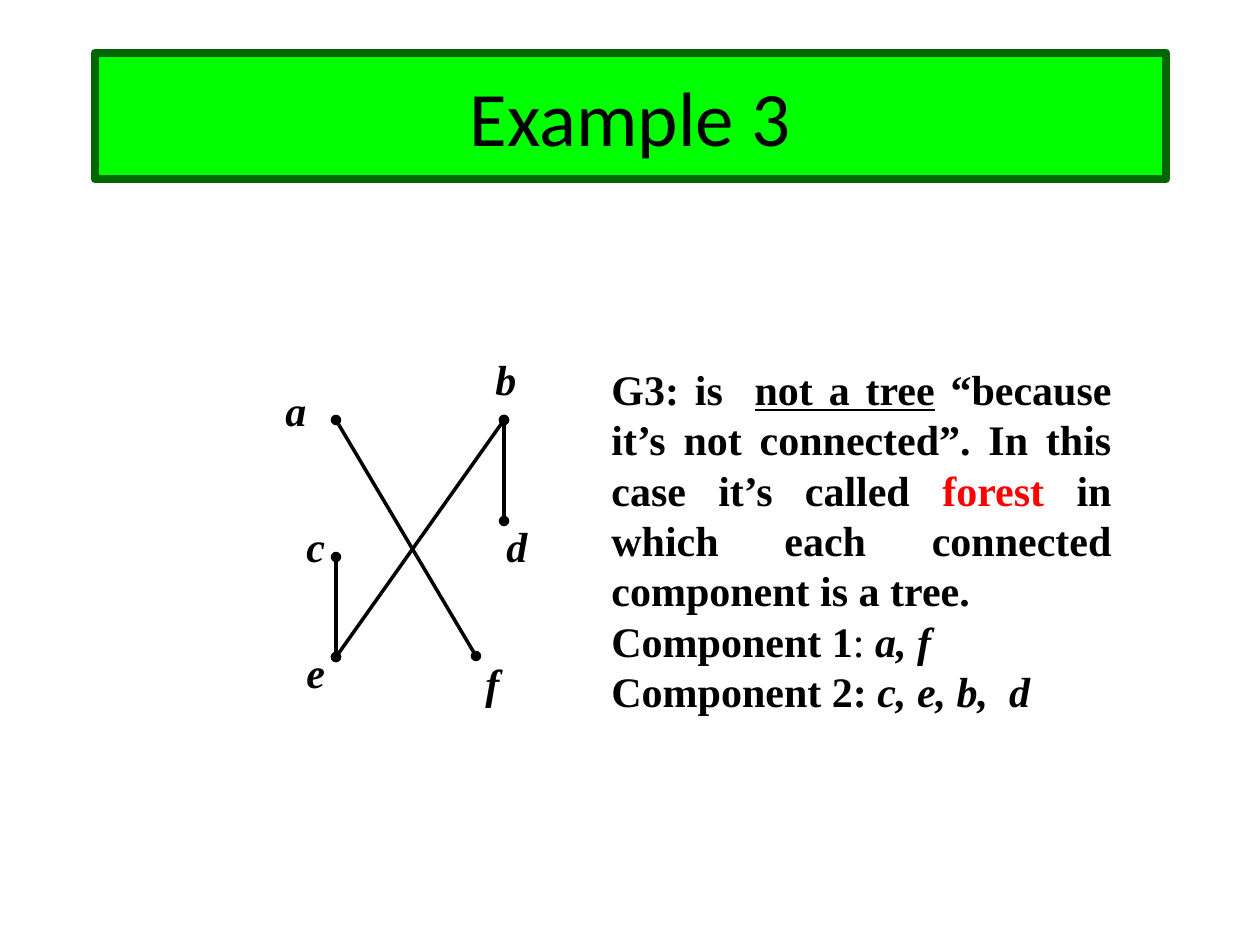
from pptx import Presentation
from pptx.dml.color import RGBColor
from pptx.enum.shapes import MSO_CONNECTOR, MSO_SHAPE
from pptx.enum.text import MSO_ANCHOR, PP_ALIGN
from pptx.oxml.ns import qn
from pptx.util import Pt
from lxml.etree import SubElement

PX = 914400 / 126
BLACK = RGBColor(0, 0, 0)
RED = RGBColor(255, 0, 0)
LIME = RGBColor(0, 255, 0)
GREEN = RGBColor(0, 0x66, 0)
SERIF = "Times New Roman"

TITLE = "Example 3"
NODES = {"a": (336, 420), "b": (504, 420), "c": (336, 557),
         "d": (504, 521), "e": (336, 657), "f": (476, 656)}
LABELS = {"a": (273, 378), "b": (483, 347), "c": (294, 514),
          "d": (494, 514), "e": (294, 640), "f": (473, 651)}
EDGES = ["af", "eb", "bd", "ce"]
# Each run: text and its style marks (b bold, i italic, u underlined, r red)
NOTES = [
    [("G3: is  ", "b"), ("not a tree", "bu"),
     (" “because it’s not connected”. In this case it’s called ", "b"),
     ("forest ", "br"),
     ("in which each connected component is a tree.", "b")],
    [("Component 1", "b"), (": ", ""), ("a, f", "bi")],
    [("Component 2: ", "b"), ("c, e, b,  d", "bi")],
]


def emu(*vals):
    return [round(v * PX) for v in vals]


def add_text(left, top, width, height, paras, align):
    frame = slide.shapes.add_textbox(*emu(left, top, width, height)).text_frame
    frame.word_wrap = True
    for n, runs in enumerate(paras):
        para = frame.add_paragraph() if n else frame.paragraphs[0]
        para.alignment = align
        para.line_spacing = Pt(28.8)
        for text, marks in runs:
            run = para.add_run()
            run.text = text
            font = run.font
            font.name, font.size = SERIF, Pt(24)
            font.bold, font.italic = "b" in marks, "i" in marks
            font.underline = "u" in marks
            font.color.rgb = RED if "r" in marks else BLACK


def add_edge(start, end):
    """Draw an edge whose oval line ends are the nodes."""
    edge = slide.shapes.add_connector(
        MSO_CONNECTOR.STRAIGHT, *emu(*NODES[start], *NODES[end]))
    edge.line.color.rgb = BLACK
    edge.line.width = Pt(2)
    line = edge.line._get_or_add_ln()
    for tag in ("a:headEnd", "a:tailEnd"):
        SubElement(line, qn(tag), type="oval")
    SubElement(edge._element.spPr, qn("a:effectLst"))


deck = Presentation()
deck.slide_width, deck.slide_height = emu(1260, 945)
slide = deck.slides.add_slide(deck.slide_layouts[6])

banner = slide.shapes.add_shape(MSO_SHAPE.RECTANGLE, *emu(95, 53, 1071, 126))
banner.shadow.inherit = False
banner.fill.solid()
banner.fill.fore_color.rgb = LIME
banner.line.color.rgb = GREEN
banner.line.width = Pt(5)
frame = banner.text_frame
frame.text = TITLE
frame.vertical_anchor = MSO_ANCHOR.MIDDLE
para = frame.paragraphs[0]
para.alignment = PP_ALIGN.CENTER
font = para.runs[0].font
font.name, font.size = "Calibri", Pt(44)
font.color.rgb = BLACK

for start, end in EDGES:
    add_edge(start, end)
for name, (left, top) in LABELS.items():
    add_text(left, top, 84, 63, [[(name, "bi")]], PP_ALIGN.LEFT)
add_text(599, 357, 525, 369, NOTES, PP_ALIGN.JUSTIFY)

deck.save("out.pptx")
